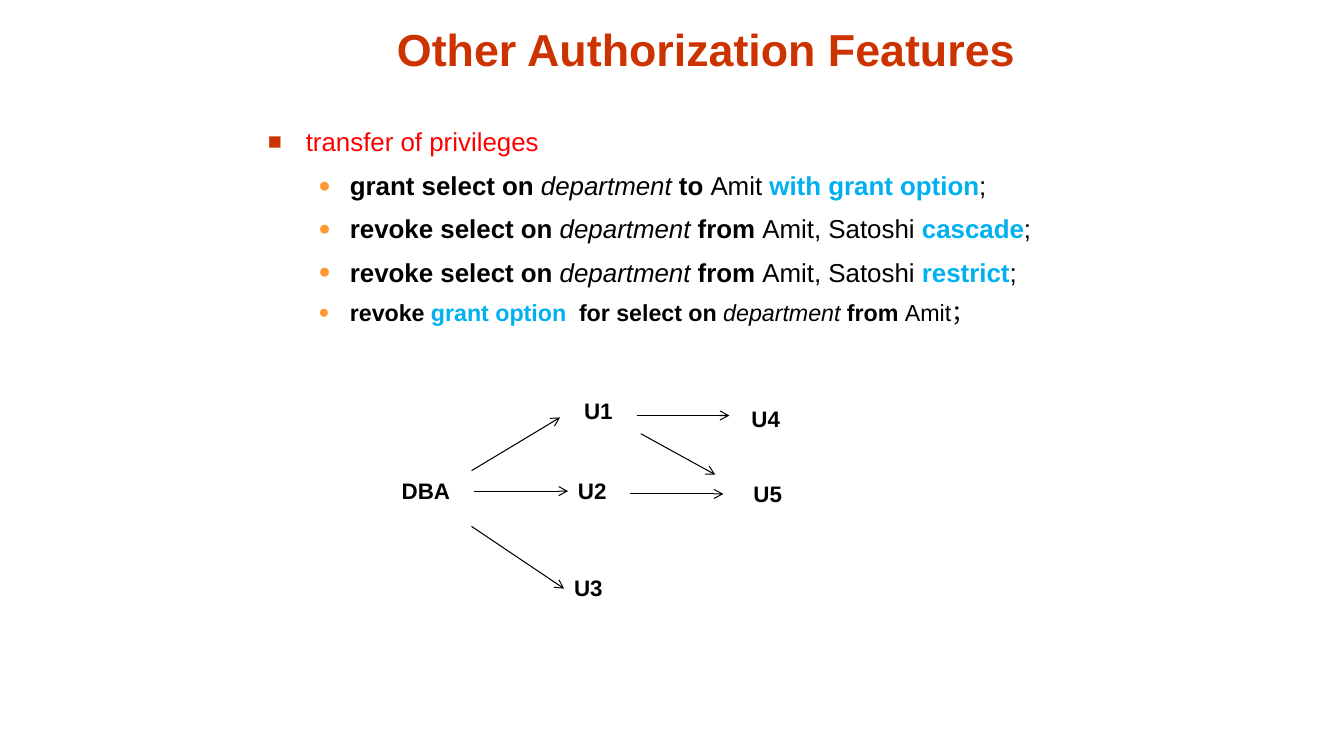
from pptx import Presentation
from pptx.dml.color import RGBColor
from pptx.enum import shapes, text
from pptx.oxml import ns, xmlchemy
from pptx.util import Pt

COLORS = {"title": "CC3300", "topic": "FF0000", "body": "000000",
          "option": "00B0F0", "square": "CC3300", "dot": "FF9933"}
STYLES = {
    "title": {"bold": True, "italic": False},
    "topic": {"bold": False, "italic": False},
    "keyword": {"bold": True, "italic": False},
    "table": {"bold": False, "italic": True},
    "user": {"bold": False, "italic": False},
    "option": {"bold": True, "italic": False},
}


def add_span(para, words, style, size):
    span = para.add_run()
    span.text = words
    formats = {"name": "Arial", "size": Pt(size), **STYLES[style]}
    for name, value in formats.items():
        setattr(span.font, name, value)
    span.font.color.rgb = RGBColor.from_string(COLORS.get(style, COLORS["body"]))


def add_element(parent, tag, **attributes):
    element = xmlchemy.OxmlElement(tag)
    for name, value in attributes.items():
        element.set(name, value)
    parent.append(element)
    return element


deck = Presentation()
deck.slide_width, deck.slide_height = Pt(960.48), Pt(540)
page = deck.slides.add_slide(deck.slide_layouts[1])
title, body = page.placeholders

for box, anchor, (left, top, width, height) in [
    (title, text.MSO_ANCHOR.BOTTOM, (80.6, 9.4, 848.2, 48.2)),
    (body, text.MSO_ANCHOR.TOP, (184.3, 86.4, 603.4, 154)),
]:
    box.left, box.top, box.width, box.height = Pt(left), Pt(top), Pt(width), Pt(height)
    box.text_frame.auto_size = text.MSO_AUTO_SIZE.NONE
    box.text_frame.vertical_anchor = anchor

heading = title.text_frame.paragraphs[0]
heading.alignment = text.PP_ALIGN.CENTER
add_span(heading, "Other Authorization Features", "title", 32)

BULLETS = [
    {"char": "■", "color": "square", "scale": "90000", "left": 27, "hang": 27},
    {"char": "●", "color": "dot", "scale": "80000", "left": 58.5, "hang": 22.5},
]
revoke_start = [("revoke select on ", "keyword"), ("department ", "table"),
                ("from ", "keyword"), ("Amit, Satoshi ", "user")]
statements = [
    (0, 18.5, 0, [("transfer of privileges", "topic")]),
    (1, 18.5, 8.8, [("grant select on ", "keyword"), ("department ", "table"),
                    ("to ", "keyword"), ("Amit ", "user"),
                    ("with grant option", "option"), (";", "user")]),
    (1, 18.5, 8.8, revoke_start + [("cascade", "option"), (";", "user")]),
    (1, 18.5, 8.8, revoke_start + [("restrict", "option"), (";", "user")]),
    (1, 16.6, 7.9, [("revoke ", "keyword"), ("grant option  ", "option"),
                    ("for select on ", "keyword"), ("department ", "table"),
                    ("from ", "keyword"), ("Amit；", "user")]),
]
for index, (level, size, gap, spans) in enumerate(statements):
    frame = body.text_frame
    para = frame.add_paragraph() if index else frame.paragraphs[0]
    para.level = level
    para.space_before = Pt(gap)
    bullet = BULLETS[level]
    properties = para._p.get_or_add_pPr()
    properties.set("marL", str(Pt(bullet["left"])))
    properties.set("indent", str(-Pt(bullet["hang"])))
    tint = add_element(properties, "a:buClr")
    add_element(tint, "a:srgbClr", val=COLORS[bullet["color"]])
    add_element(properties, "a:buSzPct", val=bullet["scale"])
    add_element(properties, "a:buFont", typeface="Arial")
    add_element(properties, "a:buChar", char=bullet["char"])
    for words, style in spans:
        add_span(para, words, style, size)

grantees = {"DBA": (280, 337), "U1": (410.4, 280), "U2": (406, 337),
            "U3": (403.2, 406.8), "U4": (530, 285.8), "U5": (531.4, 339.1)}
for name, (left, top) in grantees.items():
    box = page.shapes.add_textbox(Pt(left), Pt(top), Pt(59.4), Pt(26.6))
    box.text_frame.word_wrap = True
    add_span(box.text_frame.paragraphs[0], name, "keyword", 16)

grants = [
    ((339.1, 350.8), (406, 350.8)),
    ((450, 352.8), (517, 352.8)),
    ((455, 296.8), (521.3, 296.8)),
    ((337, 336.2), (400.3, 298.2)),
    ((337, 376), (403.2, 420.5)),
    ((458, 309.8), (511.2, 339.1)),
]
for start, end in grants:
    arrow = page.shapes.add_connector(
        shapes.MSO_CONNECTOR.STRAIGHT, *(Pt(value) for value in start + end))
    arrow.line.color.rgb = RGBColor.from_string(COLORS["body"])
    arrow.line.width = Pt(0.75)
    drawing = arrow._element.spPr
    add_element(drawing.find(ns.qn("a:ln")), "a:tailEnd", type="arrow")
    add_element(drawing, "a:effectLst")

deck.save("out.pptx")
